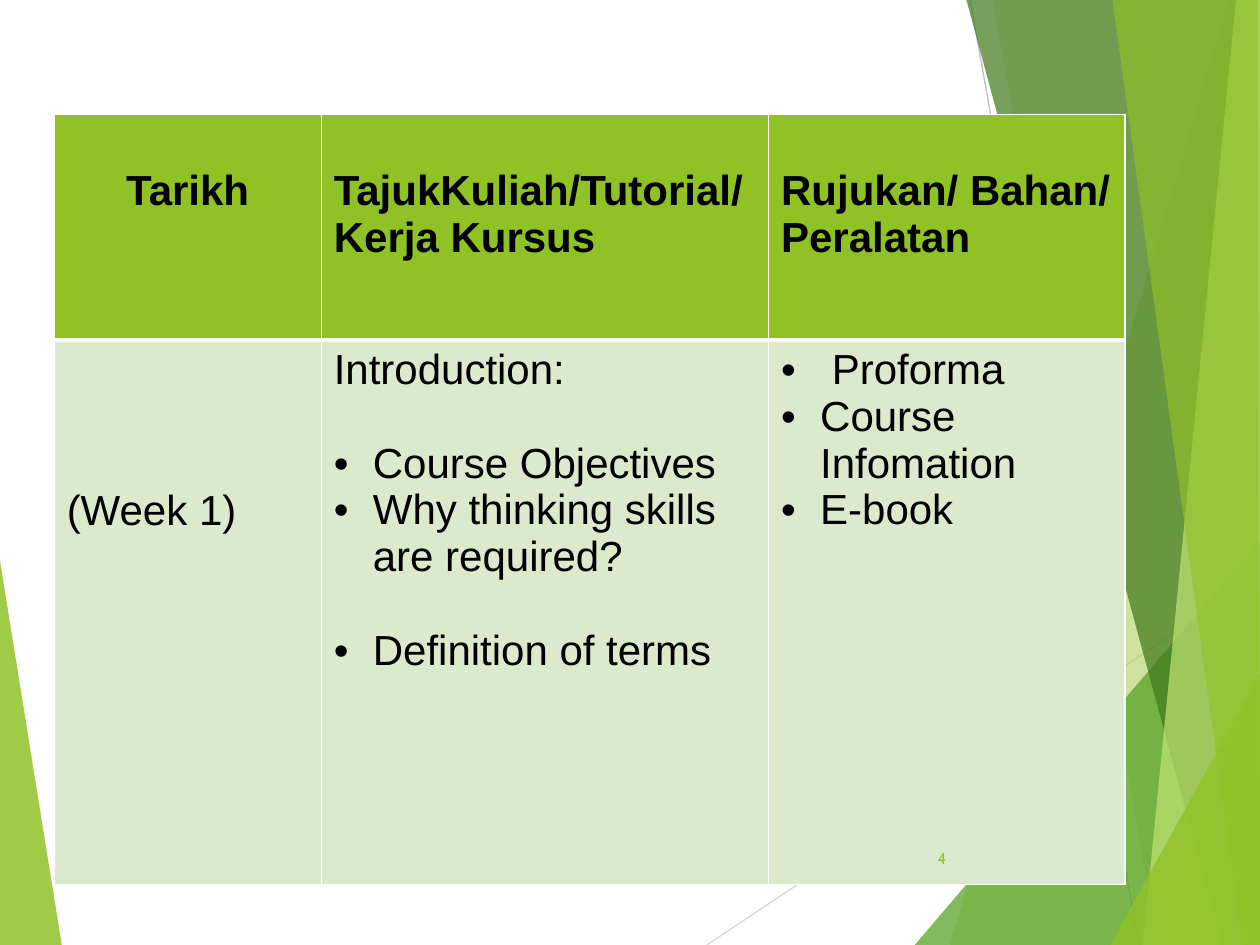
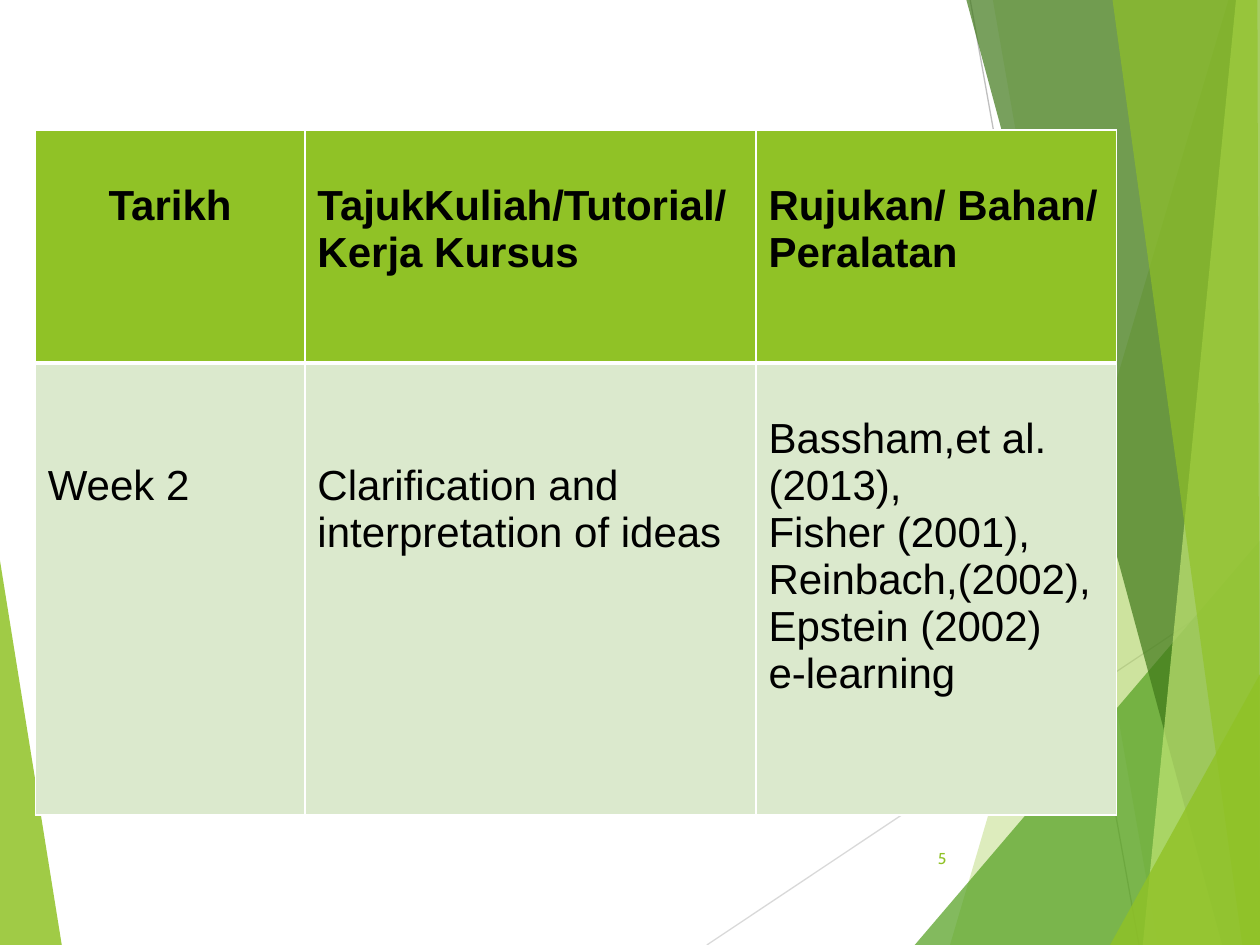
"""Build two weekly course schedule slides on a green faceted backdrop."""
from lxml.etree import SubElement
from pptx import Presentation
from pptx.dml.color import RGBColor
from pptx.enum.shapes import MSO_CONNECTOR
from pptx.enum.text import MSO_ANCHOR, PP_ALIGN
from pptx.oxml import parse_xml
from pptx.oxml.ns import nsdecls, qn
from pptx.util import Inches, Pt

BLACK = RGBColor(0x00, 0x00, 0x00)
WHITE = RGBColor(0xFF, 0xFF, 0xFF)
LIME = RGBColor(0x90, 0xC2, 0x26)
GREEN = RGBColor(0x54, 0xA0, 0x21)
FOREST = RGBColor(0x3F, 0x78, 0x19)
PALE_LIME = RGBColor(0xC0, 0xE4, 0x74)
MINT = RGBColor(0xDB, 0xE9, 0xCD)
LIGHT_GREY = RGBColor(0xD9, 0xD9, 0xD9)
MID_GREY = RGBColor(0xBF, 0xBF, 0xBF)

COLUMNS, ROWS = 100, 75
LINE_ROWS = 3.72
CELL_PAD = 0.5
INDENT = 3.1

LEFT_FACET = ([(0, 44.5), (4.9, 75), (0, 75)], LIME, 85)
RAYS = [
    ((56.1, 75), (100, 45.7), LIGHT_GREY),
    ((77, 0), (90.4, 75), MID_GREY),
]
RIGHT_FACETS = [
    ([(97.5, 0), (75.4, 75), (100, 75), (100, 0)], LIME, 30),
    ([(78.8, 0), (91.9, 75), (100, 75), (100, 0)], LIME, 20),
    ([(72.6, 75), (100, 42.9), (100, 75)], GREEN, 72),
    ([(76.7, 0), (97, 75), (100, 75), (100, 0)], FOREST, 70),
    ([(98.1, 0), (90.7, 75), (100, 75), (100, 0)], PALE_LIME, 70),
    ([(88.3, 0), (98.6, 75), (100, 75), (99.8, 0)], LIME, 65),
    ([(88.1, 75), (100, 53.5), (100, 75)], LIME, 80),
]

HEADINGS = [
    (1, ["Tarikh"]),
    (1, ["TajukKuliah/Tutorial/", "Kerja Kursus"]),
    (1, ["Rujukan/ Bahan/ Peralatan"]),
]
WEEKS = [
    {
        "number": "4",
        "corner": (4.3, 9.1),
        "widths": (21.2, 35.5, 28.3),
        "heights": (17.9, 43.2),
        "body": [
            (3, ["(Week 1)"]),
            (0, ["Introduction:", "", "• Course Objectives",
                 "• Why thinking skills are required?", "", "• Definition of terms"]),
            (0, ["•  Proforma", "• Course Infomation", "• E-book"]),
        ],
    },
    {
        "number": "5",
        "corner": (2.8, 10.3),
        "widths": (21.4, 35.8, 28.6),
        "heights": (18.5, 35.9),
        "body": [
            (2, ["Week 2"]),
            (2, ["Clarification and interpretation of ideas"]),
            (1, ["Bassham,et al. (2013),", "Fisher (2001),", "Reinbach,(2002),",
                 "Epstein (2002)", "e-learning"]),
        ],
    },
]


class Deck:
    """Hold the shared style and the slide being drawn."""

    def __init__(self):
        self.prs = Presentation()
        self.prs.slide_width, self.prs.slide_height = Inches(10), Inches(7.5)
        self.s = None

    def x(self, columns):
        return round(self.prs.slide_width * columns / COLUMNS)

    def y(self, rows):
        return round(self.prs.slide_height * rows / ROWS)

    def add_slide(self):
        self.s = self.prs.slides.add_slide(self.prs.slide_layouts[6])
        fill = self.s.background.fill
        fill.solid()
        fill.fore_color.rgb = WHITE
        self.facet(*LEFT_FACET)
        for ray in RAYS:
            self.ray(*ray)
        for facet in RIGHT_FACETS:
            self.facet(*facet)

    def facet(self, corners, color, opacity):
        points = [(self.x(col), self.y(row)) for col, row in corners]
        builder = self.s.shapes.build_freeform(*points[0])
        builder.add_line_segments(points[1:], close=True)
        sp = builder.convert_to_shape()
        sp.shadow.inherit = False
        sp.line.fill.background()
        sp.fill.solid()
        sp.fill.fore_color.rgb = color
        tint = sp.element.spPr.find(".//" + qn("a:srgbClr"))
        SubElement(tint, qn("a:alpha")).set("val", str(opacity * 1000))

    def ray(self, start, end, color):
        ends = [f(v) for point in (start, end) for f, v in zip((self.x, self.y), point)]
        line = self.s.shapes.add_connector(MSO_CONNECTOR.STRAIGHT, *ends)
        line.line.color.rgb = color
        line.line.width = Pt(0.75)
        SubElement(line.element.spPr, qn("a:effectLst"))

    def run(self, p, text, size, font, color, bold=False):
        r = p.add_run()
        r.text = text
        r.font.size, r.font.name, r.font.bold = Pt(size), font, bold
        r.font.color.rgb = color

    def bullet(self, p):
        pPr = p._p.get_or_add_pPr()
        pPr.set("marL", str(self.x(INDENT)))
        pPr.set("indent", str(-self.x(INDENT)))
        SubElement(pPr, qn("a:buFont")).set("typeface", "Arial")
        SubElement(pPr, qn("a:buChar")).set("char", "•")

    def borders(self, cell, top, bottom):
        tcPr = cell._tc.get_or_add_tcPr()
        sides = {"lnL": 1, "lnR": 1, "lnT": top, "lnB": bottom}
        for i, (side, width) in enumerate(sides.items()):
            tcPr.insert(i, parse_xml(
                f'<a:{side} {nsdecls("a")} w="{Pt(width)}"><a:solidFill>'
                f'<a:srgbClr val="{WHITE}"/></a:solidFill></a:{side}>'))

    def cell(self, cell, lines_down, texts, header):
        cell.fill.solid()
        cell.fill.fore_color.rgb = LIME if header else MINT
        self.borders(cell, *((1, 3) if header else (3, 1)))
        cell.margin_top = self.y(CELL_PAD + lines_down * LINE_ROWS)
        tf = cell.text_frame
        p, gap = tf.paragraphs[0], False
        for i, text in enumerate(texts):
            if not text:
                gap = True
                continue
            p = tf.add_paragraph() if i else p
            if gap:
                p.space_before = self.y(LINE_ROWS)
            gap = False
            if text.startswith("• "):
                self.bullet(p)
            self.run(p, text.removeprefix("• "), 24, "Arial", BLACK, header)

    def schedule(self, corner, widths, heights, body):
        left, top = corner
        table = self.s.shapes.add_table(
            2, len(widths), self.x(left), self.y(top),
            self.x(sum(widths)), self.y(sum(heights))).table
        table.first_row = table.horz_banding = False
        for column, width in zip(table.columns, widths):
            column.width = self.x(width)
        for row, height, contents in zip(table.rows, heights, (HEADINGS, body)):
            row.height = self.y(height)
            for cell, content in zip(row.cells, contents):
                self.cell(cell, *content, header=contents is HEADINGS)
        table.cell(0, 0).text_frame.paragraphs[0].alignment = PP_ALIGN.CENTER

    def page_number(self, number):
        box = self.s.shapes.add_textbox(self.x(70.5), self.y(66.1), self.x(5.6), self.y(4))
        tf = box.text_frame
        tf.word_wrap = True
        tf.vertical_anchor = MSO_ANCHOR.MIDDLE
        p = tf.paragraphs[0]
        p.alignment = PP_ALIGN.RIGHT
        self.run(p, number, 9, "Cabin", LIME)


def main():
    deck = Deck()
    for week in WEEKS:
        deck.add_slide()
        deck.schedule(week["corner"], week["widths"], week["heights"], week["body"])
        deck.page_number(week["number"])
    deck.prs.save("out.pptx")


if __name__ == "__main__":
    main()
